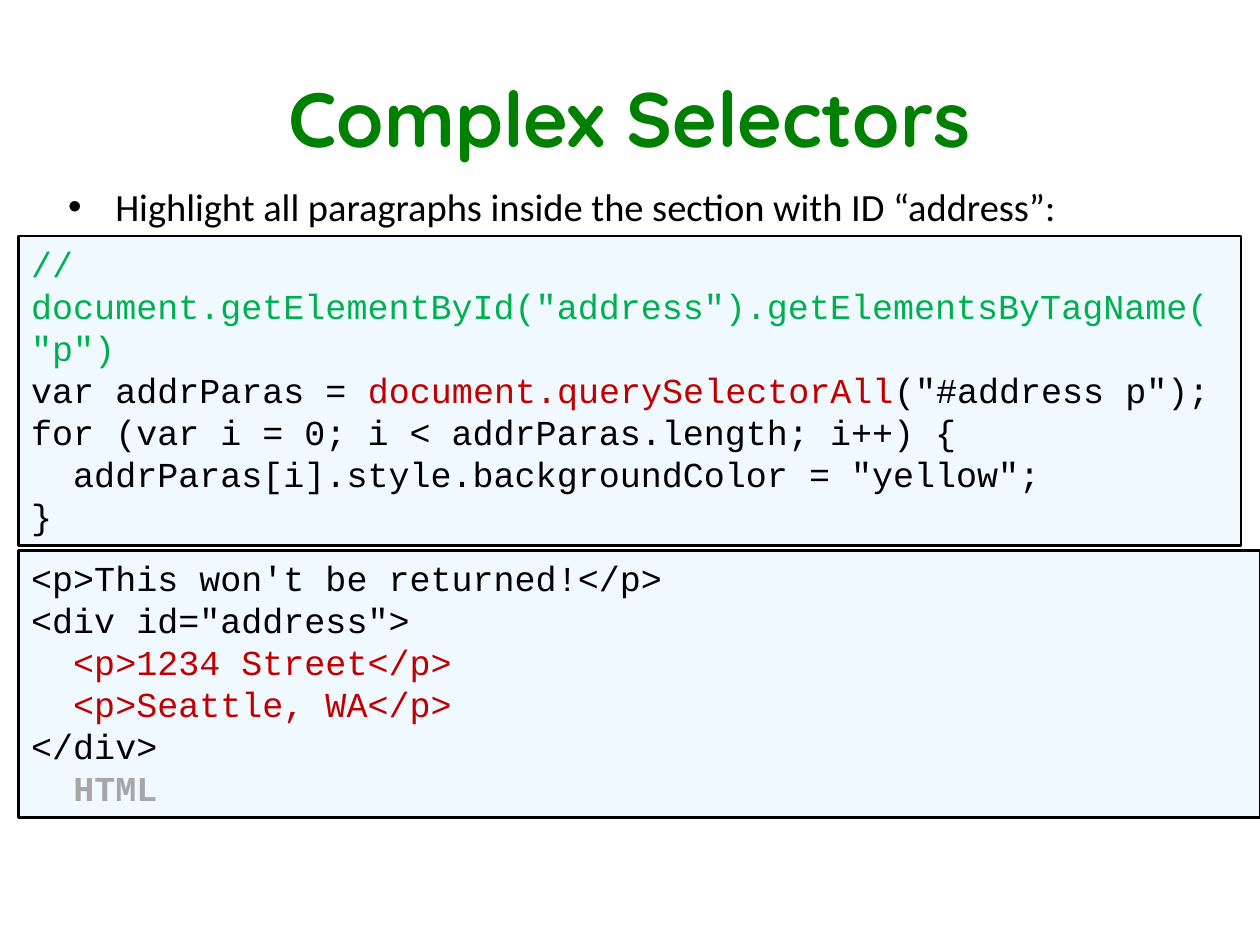
from pptx import Presentation
from pptx.dml.color import RGBColor
from pptx.enum.shapes import MSO_SHAPE
from pptx.enum.text import MSO_ANCHOR, MSO_AUTO_SIZE, PP_ALIGN
from pptx.util import Cm, Pt

BLACK, GREEN, RED, GREY = "000000", "00B050", "C00000", "A6A6A6"


def color(code):
    return RGBColor.from_string(code)


class Deck:
    """Holds the style and the current slide."""
    code_size = 20
    code_font = "Courier New"
    panel = "EFF9FF"

    def __init__(self, slide):
        self.slide = slide

    def place(self, shape, box):
        shape.left, shape.top, shape.width, shape.height = map(Cm, box)

    def font(self, run, name, size, code, bold=False):
        font = run.font
        font.name, font.size, font.bold = name, Pt(size), bold
        font.color.rgb = color(code)

    def title(self, text, box):
        shape = self.slide.shapes.title
        self.place(shape, box)
        frame = shape.text_frame
        frame.text = text
        frame.vertical_anchor = MSO_ANCHOR.MIDDLE
        para = frame.paragraphs[0]
        para.alignment = PP_ALIGN.CENTER
        self.font(para.runs[0], "Quicksand", 44, "008000", True)

    def bullets(self, items, box):
        shape = self.slide.placeholders[1]
        self.place(shape, box)
        frame = shape.text_frame
        frame.text = "\n".join(items)
        frame.auto_size = MSO_AUTO_SIZE.NONE
        for para in frame.paragraphs:
            props = para._p.get_or_add_pPr()
            props.set("marL", str(Cm(0.95)))
            props.set("indent", str(Cm(-0.95)))
            self.font(para.runs[0], "Calibri", 22, BLACK)

    def code(self, lines, box):
        shape = self.slide.shapes.add_shape(MSO_SHAPE.RECTANGLE, *map(Cm, box))
        shape.shadow.inherit = False
        shape.fill.solid()
        shape.fill.fore_color.rgb = color(self.panel)
        shape.line.color.rgb = color(BLACK)
        shape.line.width = Pt(1.5)
        frame = shape.text_frame
        frame.word_wrap = True
        frame.vertical_anchor = MSO_ANCHOR.TOP
        # One paragraph a line, one run for each coloured part
        for i, parts in enumerate(lines):
            para = frame.add_paragraph() if i else frame.paragraphs[0]
            para.alignment = PP_ALIGN.LEFT
            for text, code in parts:
                run = para.add_run()
                run.text = text
                self.font(run, self.code_font, self.code_size, code)
        return shape

    def label(self, shape, text, indent):
        para = shape.text_frame.add_paragraph()
        para.text = text
        para.alignment = PP_ALIGN.LEFT
        para._p.get_or_add_pPr().set("marL", str(Cm(indent)))
        self.font(para.runs[0], self.code_font, self.code_size, GREY, True)


prs = Presentation()
prs.slide_width, prs.slide_height = Cm(25.4), Cm(19.05)
deck = Deck(prs.slides.add_slide(prs.slide_layouts[1]))

# Heading and lead
deck.title("Complex Selectors", (1.27, 0.76, 22.86, 3.18))
deck.bullets(["Highlight all paragraphs inside the section with ID “address”:"],
             (1.12, 3.56, 27.94, 1.22))

# Script panel
deck.code([
    [('// document.getElementById("address").getElementsByTagName("p")', GREEN)],
    [("var addrParas = ", BLACK), ("document.querySelectorAll", RED),
     ('("#address p");', BLACK)],
    [("for (var i = 0; i < addrParas.length; i++) {", BLACK)],
    [('  addrParas[i].style.backgroundColor = "yellow";', BLACK)],
    [("}", BLACK)],
], (0.38, 4.76, 24.64, 6.24))

# Markup panel
markup = deck.code([
    [("<p>This won't be returned!</p>", BLACK)],
    [('<div id="address">', BLACK)],
    [("  <p>1234 Street</p>", RED)],
    [("  <p>Seattle, WA</p>", RED)],
    [("</div>", BLACK)],
], (0.38, 11.1, 25.02, 5.38))
deck.label(markup, "HTML", 0.85)

prs.save("out.pptx")
